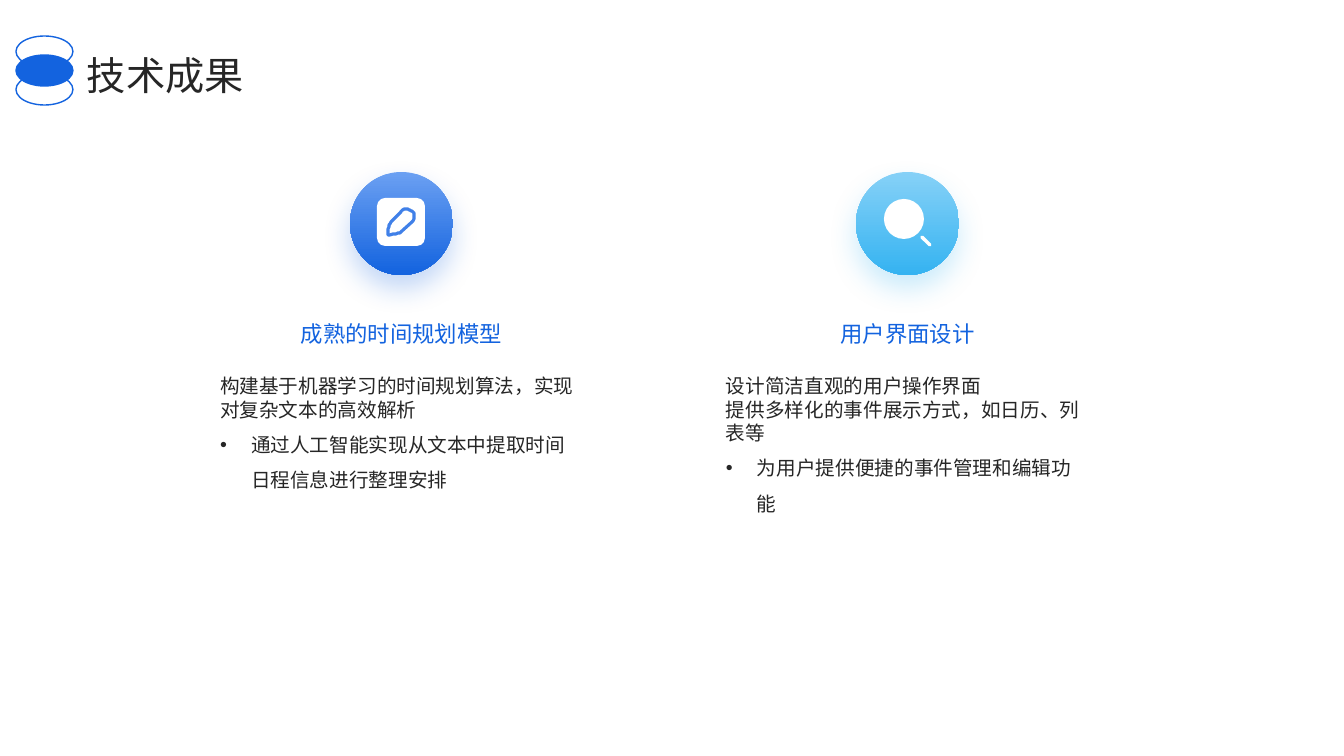
from dataclasses import dataclass

from lxml import etree
from pptx import Presentation
from pptx import util as u
from pptx.dml.color import RGBColor
from pptx.enum import shapes, text
from pptx.oxml import ns

PX = 914400 / 100.8
FONT = "Noto Sans CJK SC"
BLUE = RGBColor(0x13, 0x63, 0xDF)
LIGHT_BLUE = RGBColor(0x6B, 0xA0, 0xF2)
SKY = RGBColor(0x35, 0xB3, 0xF1)
LIGHT_SKY = RGBColor(0x86, 0xD1, 0xF7)
PEN_BLUE = RGBColor(0x40, 0x80, 0xE8)
INK = RGBColor(0x26, 0x26, 0x26)
WHITE = RGBColor(0xFF, 0xFF, 0xFF)

Point = tuple[float, float]


@dataclass(frozen=True)
class Column:
    heading: str
    plain: tuple[str, ...]
    bullet: str
    light: RGBColor
    dark: RGBColor


COLUMNS = (
    Column("成熟的时间规划模型", ("构建基于机器学习的时间规划算法，实现对复杂文本的高效解析",),
           "通过人工智能实现从文本中提取时间日程信息进行整理安排", LIGHT_BLUE, BLUE),
    Column("用户界面设计", ("设计简洁直观的用户操作界面", "提供多样化的事件展示方式，如日历、列表等"),
           "为用户提供便捷的事件管理和编辑功能", LIGHT_SKY, SKY),
)
COLUMN_LEFT = 220
COLUMN_STEP = 506
COLUMN_WIDTH = 363
BADGE_SIZE = 103
PEN_CURVES: tuple[tuple[Point, ...], ...] = (
    ((406, 209), (408, 209), (410, 210), (412, 211)),
    ((412, 211), (415, 214), (415, 218), (412, 222)),
    ((402, 231), (399, 234), (395, 234), (388, 235)),
    ((388, 235), (388, 229), (389, 224), (392, 221)),
    ((401, 212), (402, 210), (404, 209), (406, 209)),
)


def px(length: float) -> u.Emu:
    return u.Emu(round(length * PX))


def add_element(parent, tag: str, **attributes: str):
    return etree.SubElement(parent, ns.qn(tag), attributes)


def add_preset(parent, kind, left: int, top: int, width: int, height: int,
               fill: RGBColor | None = None, line: RGBColor | None = None):
    shape = parent.add_shape(kind, px(left), px(top), px(width), px(height))
    shape.shadow.inherit = False
    if fill is None:
        shape.fill.background()
    else:
        shape.fill.solid()
        shape.fill.fore_color.rgb = fill
    if line is None:
        shape.line.fill.background()
    else:
        shape.line.color.rgb = line
        shape.line.width = u.Pt(1)
    return shape


def add_span(para, words: str, *, size: int, color: RGBColor) -> None:
    span = para.add_run()
    span.text = words
    span.font.size = u.Pt(size)
    span.font.name = FONT
    span.font.color.rgb = color
    add_element(span.font._element, "a:ea", typeface=FONT)


def add_text(page, words: tuple[str, ...], left: int, top: int, width: int, height: int, *,
             size: int, color: RGBColor = INK, align=text.PP_ALIGN.LEFT,
             anchor=text.MSO_ANCHOR.MIDDLE):
    box = page.shapes.add_textbox(px(left), px(top), px(width), px(height))
    frame = box.text_frame
    frame.word_wrap = True
    frame.vertical_anchor = anchor
    frame.margin_left = frame.margin_right = frame.margin_top = frame.margin_bottom = 0
    for index, line in enumerate(words):
        para = frame.add_paragraph() if index else frame.paragraphs[0]
        para.alignment = align
        add_span(para, line, size=size, color=color)
    return box


def make_bullet(para) -> None:
    para.line_spacing = 1.5
    properties = para._p.get_or_add_pPr()
    properties.set("marL", str(px(31)))
    properties.set("indent", str(px(-31)))
    add_element(properties, "a:buFont", typeface="Arial")
    add_element(properties, "a:buChar", char="•")


def add_badge(page, left: int, column: Column) -> None:
    badge = add_preset(page.shapes, shapes.MSO_SHAPE.OVAL, left, 172, BADGE_SIZE, BADGE_SIZE)
    badge.fill.gradient()
    badge.fill.gradient_angle = 270
    for stop, color in zip(badge.fill.gradient_stops, (column.light, column.dark)):
        stop.color.rgb = color
    effects = badge._element.spPr.find(ns.qn("a:effectLst"))
    shadow = add_element(effects, "a:outerShdw", blurRad=str(u.Pt(20)), dist=str(u.Pt(10)),
                         dir="5400000", algn="t", rotWithShape="0")
    tint = add_element(shadow, "a:srgbClr", val=str(column.dark))
    add_element(tint, "a:alpha", val="25000")


def curve_points(curve: tuple[Point, ...], steps: int = 8) -> list[Point]:
    def at(t: float) -> Point:
        weights = ((1 - t) ** 3, 3 * t * (1 - t) ** 2, 3 * t ** 2 * (1 - t), t ** 3)
        return (sum(w * p[0] for w, p in zip(weights, curve)),
                sum(w * p[1] for w, p in zip(weights, curve)))
    return [at(step / steps) for step in range(steps + 1)]


def add_pen_icon(page) -> None:
    tile = add_preset(page.shapes, shapes.MSO_SHAPE.ROUNDED_RECTANGLE, 377, 198, 48, 48, fill=WHITE)
    tile.adjustments[0] = 0.17
    points = [point for curve in PEN_CURVES for point in curve_points(curve)]
    builder = page.shapes.build_freeform(*points[0], scale=PX)
    builder.add_line_segments(points[1:], close=True)
    pen = builder.convert_to_shape()
    pen.shadow.inherit = False
    pen.fill.background()
    pen.line.color.rgb = PEN_BLUE
    pen.line.width = u.Pt(2.25)


def add_search_icon(page) -> None:
    add_preset(page.shapes, shapes.MSO_SHAPE.OVAL, 884, 199, 40, 40, fill=WHITE)
    handle = page.shapes.add_connector(shapes.MSO_CONNECTOR.STRAIGHT,
                                       px(922), px(237), px(930), px(245))
    handle.line.color.rgb = WHITE
    handle.line.width = u.Pt(2.5)
    handle.line._get_or_add_ln().set("cap", "rnd")
    add_element(handle._element.spPr, "a:effectLst")


def add_column(page, index: int, column: Column) -> None:
    left = COLUMN_LEFT + index * COLUMN_STEP
    add_badge(page, left + (COLUMN_WIDTH - BADGE_SIZE) // 2, column)
    add_text(page, (column.heading,), left, 294, COLUMN_WIDTH, 80,
             size=16, color=BLUE, align=text.PP_ALIGN.CENTER)
    body = add_text(page, (*column.plain, column.bullet), left, 374, COLUMN_WIDTH, 250,
                    size=14, anchor=text.MSO_ANCHOR.TOP)
    make_bullet(body.text_frame.paragraphs[-1])


def add_emblem(page) -> None:
    emblem = page.shapes.add_group_shape()
    for top, fill in ((74, None), (55, BLUE), (36, None)):
        add_preset(emblem.shapes, shapes.MSO_SHAPE.OVAL, 16, top, 57, 31, fill=fill, line=BLUE)


def main() -> None:
    deck = Presentation()
    deck.slide_width, deck.slide_height = px(1344), px(756)
    page = deck.slides.add_slide(deck.slide_layouts[6])
    for index, column in enumerate(COLUMNS):
        add_column(page, index, column)
    add_pen_icon(page)
    add_search_icon(page)
    add_text(page, ("技术成果",), 87, 49, 1176, 52, size=28)
    add_emblem(page)
    deck.save("out.pptx")


if __name__ == "__main__":
    main()
